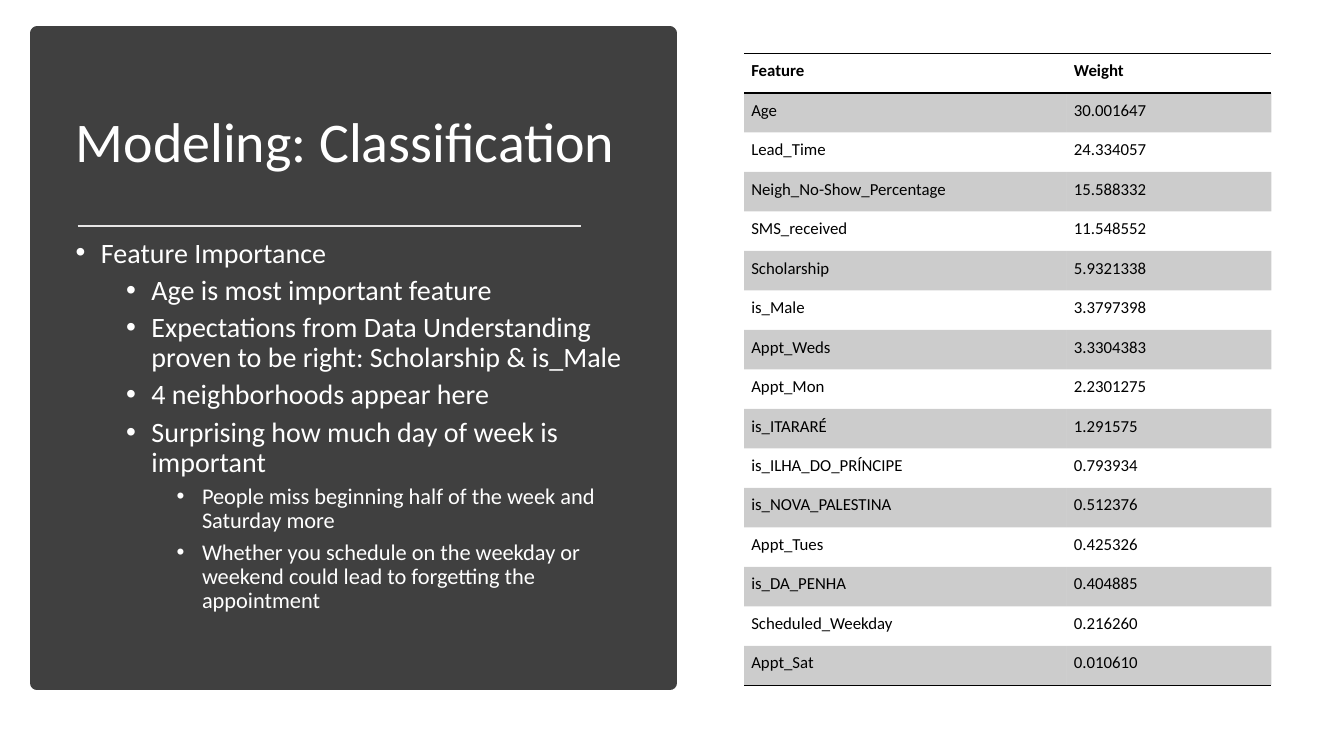
import dataclasses
import lxml.etree
import pptx
import pptx.dml.color
import pptx.enum.shapes
import pptx.enum.text
import pptx.oxml.ns
import pptx.util

FONT = "Calibri"
NO_STYLE = "{2D5ABB26-0587-4C30-8999-92F81FD0307C}"
WIDTH = pptx.util.Inches(13.33)
HEIGHT = pptx.util.Inches(7.5)


@dataclasses.dataclass
class Box:
    left: float
    top: float
    width: float
    height: float

    def place(self) -> tuple[int, int, int, int]:
        return wide(self.left), tall(self.top), wide(self.width), tall(self.height)


@dataclasses.dataclass
class Point:
    text: str
    level: int
    size: int
    before: int


@dataclasses.dataclass
class Row:
    name: str
    weight: str


PANEL = Box(2.78, 4.4, 47.04, 86)
TITLE = Box(4.88, 9.33, 42.98, 19.6)
BODY = Box(4.88, 30.93, 42.98, 55.07)
GRID = Box(55.36, 7.07, 39.24, 83.6)
SPLIT = (24.01, 15.23)

POINTS = [
    Point("Feature Importance", 0, 20, 10),
    Point("Age is most important feature", 1, 20, 5),
    Point("Expectations from Data Understanding proven to be right: Scholarship & is_Male", 1, 20, 5),
    Point("4 neighborhoods appear here", 1, 20, 5),
    Point("Surprising how much day of week is important", 1, 20, 5),
    Point("People miss beginning half of the week and Saturday more", 2, 16, 5),
    Point("Whether you schedule on the weekday or weekend could lead to forgetting the appointment", 2, 16, 5),
]

ROWS = [
    Row("Feature", "Weight"),
    Row("Age", "30.001647"),
    Row("Lead_Time", "24.334057"),
    Row("Neigh_No-Show_Percentage", "15.588332"),
    Row("SMS_received", "11.548552"),
    Row("Scholarship", "5.9321338"),
    Row("is_Male", "3.3797398"),
    Row("Appt_Weds", "3.3304383"),
    Row("Appt_Mon", "2.2301275"),
    Row("is_ITARARÉ", "1.291575"),
    Row("is_ILHA_DO_PRÍNCIPE", "0.793934"),
    Row("is_NOVA_PALESTINA", "0.512376"),
    Row("Appt_Tues", "0.425326"),
    Row("is_DA_PENHA", "0.404885"),
    Row("Scheduled_Weekday", "0.216260"),
    Row("Appt_Sat", "0.010610"),
]


def wide(share: float) -> int:
    return round(WIDTH * share / 100)


def tall(share: float) -> int:
    return round(HEIGHT * share / 100)


def color(code: str) -> pptx.dml.color.RGBColor:
    return pptx.dml.color.RGBColor.from_string(code)


def child(owner, tag: str, **attrs: str):
    return lxml.etree.SubElement(owner, pptx.oxml.ns.qn(tag), attrs)


def style(para, size: int, code: str, bold: bool = False) -> None:
    for run in para.runs:
        run.font.name = FONT
        run.font.size = pptx.util.Pt(size)
        run.font.bold = bold
        run.font.color.rgb = color(code)


def draw_panel(slide) -> None:
    panel = slide.shapes.add_shape(pptx.enum.shapes.MSO_SHAPE.RECTANGLE, *PANEL.place())
    panel.shadow.inherit = False
    panel.fill.solid()
    panel.fill.fore_color.rgb = color("404040")
    panel.line.color.rgb = color("404040")
    panel.line.width = pptx.util.Pt(10)
    slide.shapes.element.insert(2, panel.element)


def draw_rule(slide) -> None:
    level = tall(29.87)
    rule = slide.shapes.add_connector(
        pptx.enum.shapes.MSO_CONNECTOR.STRAIGHT, wide(5.78), level, wide(43.21), level)
    rule.line.color.rgb = color("E7E6E6")
    rule.line.width = pptx.util.Pt(1.75)
    child(rule.element.spPr, "a:effectLst")


def set_frame(shape, box: Box, anchor):
    shape.left, shape.top, shape.width, shape.height = box.place()
    frame = shape.text_frame
    frame.word_wrap = True
    frame.auto_size = pptx.enum.text.MSO_AUTO_SIZE.NONE
    frame.vertical_anchor = anchor
    return frame


def write_title(slide) -> None:
    frame = set_frame(slide.shapes.title, TITLE, pptx.enum.text.MSO_ANCHOR.MIDDLE)
    frame.text = "Modeling: Classification"
    para = frame.paragraphs[0]
    para.alignment = pptx.enum.text.PP_ALIGN.LEFT
    para.line_spacing = 0.9
    style(para, 40, "FFFFFF")


def write_list(slide) -> None:
    frame = set_frame(slide.placeholders[1], BODY, pptx.enum.text.MSO_ANCHOR.TOP)
    frame.text = "\n".join(point.text for point in POINTS)
    step = wide(1.88)
    for para, point in zip(frame.paragraphs, POINTS):
        para.level = point.level
        para.line_spacing = 0.9
        para.space_before = pptx.util.Pt(point.before)
        props = para._p.get_or_add_pPr()
        props.set("marL", str(step * (2 * point.level + 1)))
        props.set("indent", str(-step))
        child(props, "a:buFont", typeface="Arial")
        child(props, "a:buChar", char="•")
        style(para, point.size, "FFFFFF")


def add_edge(cell, tag: str) -> None:
    props = cell._tc.get_or_add_tcPr()
    edge = child(props, tag, w=str(pptx.util.Pt(1)))
    child(child(edge, "a:solidFill"), "a:srgbClr", val="000000")
    props.insert(0, edge)


def fill_cell(cell, text: str, row: int) -> None:
    cell.text = text
    cell.margin_left = cell.margin_right = wide(0.54)
    cell.margin_top = cell.margin_bottom = tall(0.96)
    style(cell.text_frame.paragraphs[0], 12, "000000", row == 0)
    if row % 2:
        cell.fill.solid()
        cell.fill.fore_color.rgb = color("000000")
        for tint in cell._tc.tcPr.iter(pptx.oxml.ns.qn("a:srgbClr")):
            child(tint, "a:alpha", val="20000")
    else:
        cell.fill.background()
    if row in (0, len(ROWS) - 1):
        add_edge(cell, "a:lnB")
    if row == 0:
        add_edge(cell, "a:lnT")


def draw_table(slide) -> None:
    holder = slide.shapes.add_table(len(ROWS), len(SPLIT), *GRID.place())
    table = holder.table
    for mark in holder.element.iter(pptx.oxml.ns.qn("a:tableStyleId")):
        mark.text = NO_STYLE
    for column, share in zip(table.columns, SPLIT):
        column.width = wide(share)
    for index, row in enumerate(ROWS):
        table.rows[index].height = tall(GRID.height / len(ROWS))
        for spot, text in enumerate((row.name, row.weight)):
            fill_cell(table.cell(index, spot), text, index)


def main() -> None:
    deck = pptx.Presentation()
    deck.slide_width, deck.slide_height = WIDTH, HEIGHT
    slide = deck.slides.add_slide(deck.slide_layouts[1])
    draw_panel(slide)
    write_title(slide)
    draw_rule(slide)
    write_list(slide)
    draw_table(slide)
    deck.save("out.pptx")


if __name__ == "__main__":
    main()
